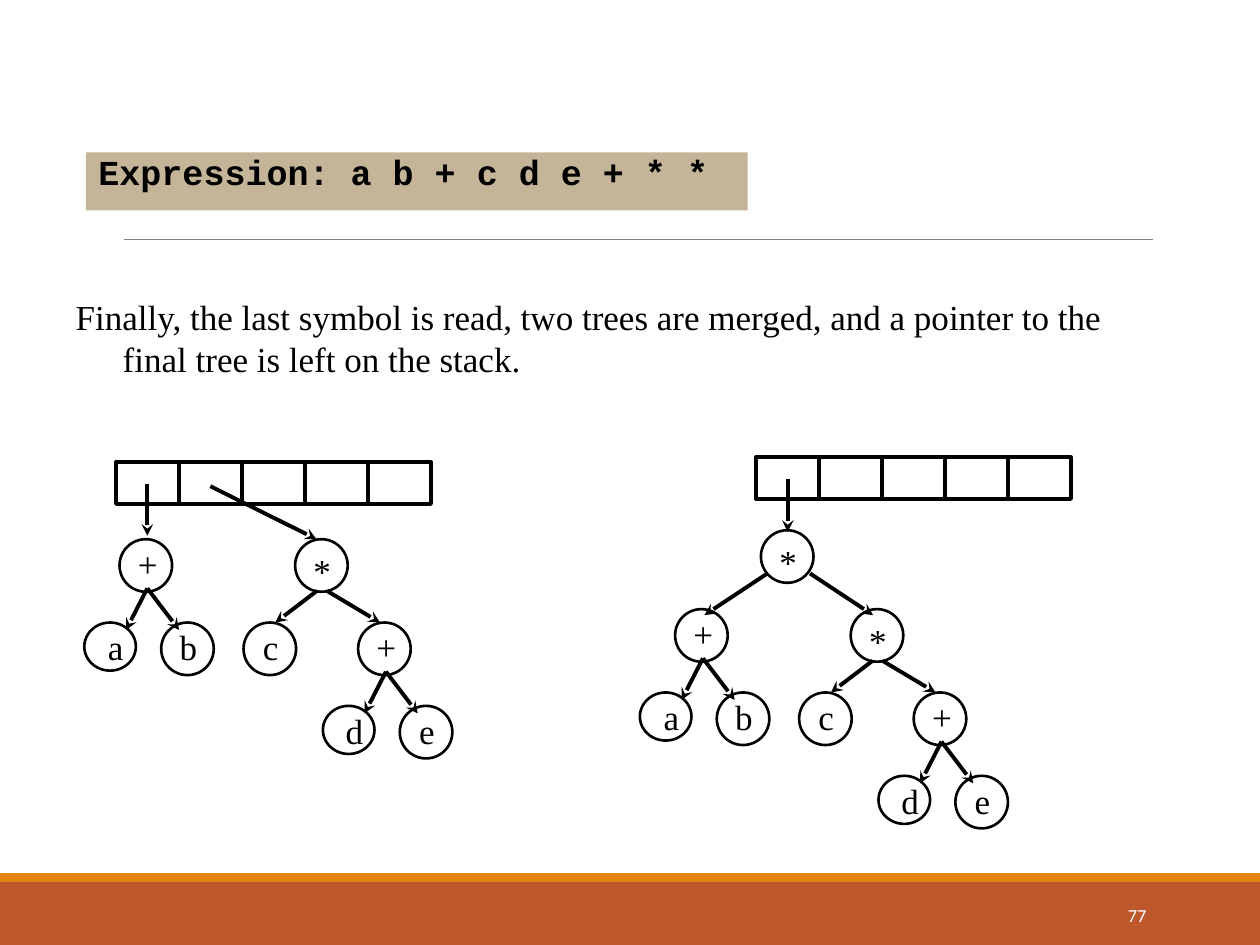
from dataclasses import dataclass

from lxml.etree import SubElement
from pptx import Presentation
from pptx.dml.color import RGBColor as RGB
from pptx.enum.shapes import MSO_CONNECTOR as CONN, MSO_SHAPE as SHAPE
from pptx.enum.text import MSO_ANCHOR as ANCHOR, MSO_AUTO_SIZE as FIT, PP_ALIGN as ALIGN
from pptx.oxml.ns import qn
from pptx.util import Cm, Pt


@dataclass(frozen=True)
class Theme:
    ink: RGB = RGB(0, 0, 0)
    white: RGB = RGB(255, 255, 255)
    rule: RGB = RGB(0x80, 0x80, 0x80)
    bar: RGB = RGB(0xBD, 0x58, 0x2C)
    accent: RGB = RGB(0xE4, 0x83, 0x12)
    tan: RGB = RGB(0xC5, 0xB5, 0x98)
    serif: str = "Times New Roman"
    mono: str = "Courier New"
    sans: str = "Calibri"
    text_size: float = 20
    number_size: float = 10.5
    heavy: float = 2.25
    medium: float = 1.5
    thin: float = 0.5


NODE = 1.06            # node diameter, cm
LEVEL = 1.68           # drop from one tree level to the next
CELL_W, CELL_H = 1.27, 0.84


class Deck:
    """Theme and current slide; 'shapes' is the slide or the group being filled."""

    def __init__(self, s, theme):
        self.s, self.theme, self.shapes = s, theme, s.shapes

    def start_group(self):
        self.shapes = self.s.shapes.add_group_shape().shapes

    def set_text(self, sp, text, para=None, bullet_off=False, anchor=ANCHOR.TOP, **font):
        t, tf = self.theme, sp.text_frame
        tf.word_wrap, tf.auto_size, tf.vertical_anchor = True, FIT.NONE, anchor
        p = tf.paragraphs[0]
        r = p.add_run()
        r.text = text
        if bullet_off:
            SubElement(p._p.get_or_add_pPr(), qn("a:buNone"))
        for name, value in {"space_before": Pt(0), **(para or {})}.items():
            setattr(p, name, value)
        color = font.pop("color", t.ink)
        for name, value in {"name": t.serif, "size": Pt(t.text_size), **font}.items():
            setattr(r.font, name, value)
        r.font.color.rgb = color

    def hang(self, sp, indent):
        pPr = sp.text_frame.paragraphs[0]._p.get_or_add_pPr()
        pPr.set("marL", str(Cm(indent)))
        pPr.set("indent", str(-Cm(indent)))

    def place(self, sp, x, y, w, h):
        box = {"left": x, "top": y, "width": w, "height": h}
        for name, value in box.items():
            setattr(sp, name, Cm(value))

    def title(self, text, x, y, w, h):
        sp = self.s.shapes.title
        self.place(sp, x, y, w, h)
        sp.fill.solid()
        sp.fill.fore_color.rgb = self.theme.tan
        self.set_text(sp, text, {"alignment": ALIGN.LEFT, "line_spacing": 0.8},
                      name=self.theme.mono, bold=True)
        self.hang(sp, 0.76)

    def body(self, text, x, y, w, h):
        sp = self.s.placeholders[1]
        self.place(sp, x, y, w, h)
        self.set_text(sp, text, bullet_off=True)
        self.hang(sp, 0.95)

    def label(self, text, x, y, w, h, align=ALIGN.CENTER, **style):
        sp = self.shapes.add_textbox(Cm(x), Cm(y), Cm(w), Cm(h))
        self.set_text(sp, text, {"alignment": align}, **style)

    def bar(self, x, y, w, h, color):
        sp = self.shapes.add_shape(SHAPE.RECTANGLE, Cm(x), Cm(y), Cm(w), Cm(h))
        sp.shadow.inherit = False
        sp.fill.solid()
        sp.fill.fore_color.rgb = color
        sp.line.fill.background()

    def outline(self, kind, x, y, w, h, weight):
        sp = self.shapes.add_shape(kind, Cm(x), Cm(y), Cm(w), Cm(h))
        sp.shadow.inherit = False
        sp.fill.background()
        sp.line.color.rgb = self.theme.ink
        sp.line.width = Pt(weight)

    def line(self, x1, y1, x2, y2, color, weight):
        c = self.shapes.add_connector(CONN.STRAIGHT, Cm(x1), Cm(y1), Cm(x2), Cm(y2))
        c.line.color.rgb = color
        c.line.width = Pt(weight)
        SubElement(c._element.spPr, qn("a:effectLst"))
        return c

    def arrow(self, x1, y1, x2, y2):
        c = self.line(x1, y1, x2, y2, self.theme.ink, self.theme.heavy)
        SubElement(c._element.spPr.find(qn("a:ln")), qn("a:tailEnd"), type="stealth")

    def stack(self, x, y, cells=5):
        for i in range(cells):
            self.outline(SHAPE.RECTANGLE, x + i * CELL_W, y, CELL_W, CELL_H,
                         self.theme.heavy)

    def node(self, text, x, y, w=NODE, h=NODE, dx=0.12):
        self.outline(SHAPE.OVAL, x, y, w, h, self.theme.medium)
        dy = 0.09 if text == "*" else -0.06
        self.label(text, x + dx, y + dy, 0.85, 1.01)

    def plus_tree(self, x, y, left, right):
        self.node("+", x, y)
        self.node(left, x - 0.71, y + LEVEL, 1.04, 0.97, 0.21)
        self.node(right, x + 0.84, y + LEVEL)
        for tip in (0.13, 1.2):
            self.arrow(x + 0.56, y + 0.99, x + tip, y + 1.83)

    def times_tree(self, x, y):
        self.node("*", x, y)
        self.node("c", x - 1.04, y + LEVEL)
        self.plus_tree(x + 1.27, y + LEVEL, "d", "e")
        for start, tip in ((0.44, -0.4), (0.64, 1.71)):
            self.arrow(x + start, y + 1.04, x + tip, y + LEVEL)

    def forest(self, x, y):
        """Draw the trees for a + b and c * (d + e) side by side."""
        self.plus_tree(x, y, "a", "b")
        self.times_tree(x + 3.54, y)


def main():
    prs = Presentation()
    prs.slide_width, prs.slide_height = Cm(25.4), Cm(19.05)
    t = Theme()
    d = Deck(prs.slides.add_slide(prs.slide_layouts[1]), t)

    d.bar(0, 17.78, 25.4, 1.27, t.bar)
    d.bar(0, 17.6, 25.4, 0.18, t.accent)
    d.line(2.49, 4.83, 23.24, 4.83, t.rule, t.thin)
    d.label("77", 20.62, 17.93, 2.74, 1.02, ALIGN.RIGHT, anchor=ANCHOR.MIDDLE,
            name=t.sans, size=Pt(t.number_size), color=t.white)
    d.title("Expression: a b + c d e + * *", 1.73, 3.07, 13.34, 1.17)
    d.body("Finally, the last symbol is read, two trees are merged, and a pointer "
           "to the final tree is left on the stack.", 1.27, 5.82, 21.59, 2.01)

    # Before the merge: two pointers on the stack
    d.start_group()
    d.stack(2.34, 9.32)
    d.forest(2.41, 10.87)
    d.arrow(2.97, 9.75, 2.97, 10.8)
    d.arrow(4.24, 9.8, 6.38, 10.87)

    # After the merge: one pointer to the final tree
    d.start_group()
    d.stack(15.24, 9.22)
    d.forest(13.61, 12.28)
    d.node("*", 15.34, 10.69)
    d.arrow(15.88, 9.65, 15.88, 10.72)
    d.arrow(15.47, 11.56, 14.2, 12.4)
    d.arrow(16.33, 11.56, 17.6, 12.4)

    prs.save("out.pptx")


if __name__ == "__main__":
    main()
